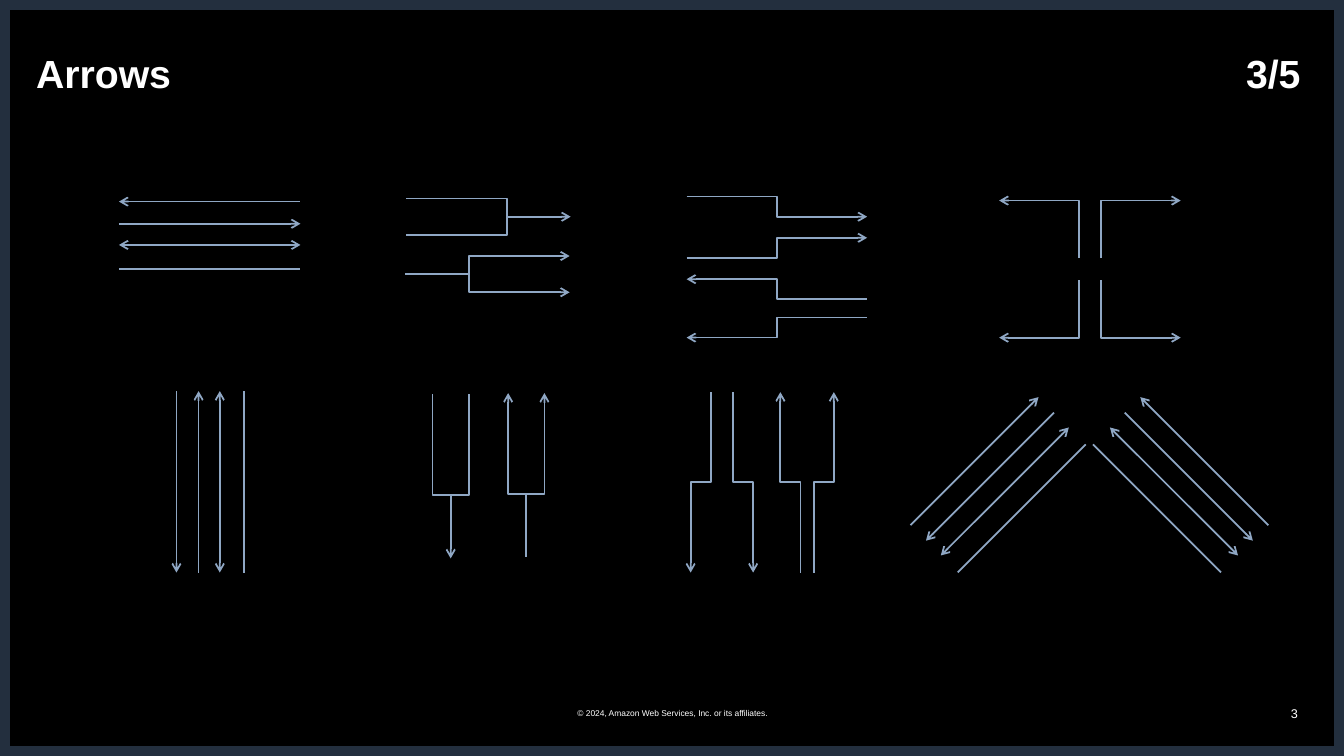
from pptx import Presentation
from pptx import util as u
from pptx.dml.color import RGBColor
from pptx.enum import shapes, text
from pptx.oxml import ns, xmlchemy

COLS, ROWS = 13.33, 7.5
BLACK = RGBColor(0x00, 0x00, 0x00)
WHITE = RGBColor(0xFF, 0xFF, 0xFF)
NAVY = RGBColor(0x23, 0x2F, 0x3E)
STEEL = RGBColor(0x8F, 0xA7, 0xC4)
STRAND_ENDS = ("head", "tail", "both", "")
STEP_ENDS = ("tail", "tail", "head", "head")


def cells(*counts):
    """Turn counts of one-inch grid cells into lengths."""
    return [u.Inches(n) for n in counts]


def add_text(s, box, words, size, bold=False, align=text.PP_ALIGN.LEFT, spacing=None, tab=None):
    """Add a one-paragraph text box, optionally with a left tab stop."""
    tf = s.shapes.add_textbox(*cells(*box)).text_frame
    tf.word_wrap = True
    tf.vertical_anchor = text.MSO_ANCHOR.MIDDLE
    p = tf.paragraphs[0]
    p.alignment = align
    if spacing:
        p.line_spacing = spacing
    if tab:
        stops = xmlchemy.OxmlElement("a:tabLst")
        stop = xmlchemy.OxmlElement("a:tab")
        stop.set("pos", str(u.Inches(tab)))
        stop.set("algn", "l")
        stops.append(stop)
        p._p.get_or_add_pPr().append(stops)
    r = p.add_run()
    r.text = words
    r.font.name = "Arial"
    r.font.size = u.Pt(size)
    r.font.bold = bold
    r.font.color.rgb = WHITE


def style_line(sp, ends):
    """Colour a line and put arrowheads on the named ends."""
    sp.line.color.rgb = STEEL
    sp.line.width = u.Pt(1.25)
    for end in ("head", "tail"):
        if ends in (end, "both"):
            arrow = xmlchemy.OxmlElement(f"a:{end}End")
            arrow.set("type", "arrow")
            sp.line._get_or_add_ln().append(arrow)


def add_link(s, start, end, ends="", kind=shapes.MSO_CONNECTOR.STRAIGHT):
    """Add a connector between two grid points."""
    sp = s.shapes.add_connector(kind, *cells(*start, *end))
    style_line(sp, ends)
    sp._element.spPr.append(xmlchemy.OxmlElement("a:effectLst"))
    return sp


def add_outline(s, points, ends=""):
    """Add an open, unfilled outline through grid points."""
    first, *rest = [tuple(cells(*point)) for point in points]
    builder = s.shapes.build_freeform(*first)
    builder.add_line_segments(rest, close=False)
    sp = builder.convert_to_shape()
    sp.fill.background()
    sp.shadow.inherit = False
    style_line(sp, ends)


def strands(s, x, y, across, run):
    """Draw four parallel lines, one for each pairing of arrowheads."""
    for offset, ends in zip((0, 0.22, 0.43, 0.67), STRAND_ENDS):
        x0, y0 = x + offset * across[0], y + offset * across[1]
        add_link(s, (x0, y0), (x0 + run[0], y0 + run[1]), ends)


def fork(s, x, y, run, span, outward=False):
    """Draw two prongs joined to a stem, with arrows on prongs or stem."""
    (rx, ry), (sx, sy) = run, span
    prongs = [(x, y), (x + rx, y + ry), (x + rx + sx, y + ry + sy), (x + sx, y + sy)]
    add_outline(s, prongs, "both" if outward else "")
    jx, jy = x + rx + sx / 2, y + ry + sy / 2
    add_link(s, (jx, jy), (jx + 0.63 * rx, jy + 0.63 * ry), "" if outward else "tail")


def level_steps(s, x, y, length=1.79, rise=0.2):
    """Draw four stepped connectors that run from left to right."""
    for top, drop, ends in zip((0, 0.61, 0.82, 1.4), (rise, -rise, rise, -rise), STEP_ENDS):
        add_link(s, (x, y + top), (x + length, y + top + drop), ends, shapes.MSO_CONNECTOR.ELBOW)


def upright_steps(s, x, y, length=1.79, rise=0.2):
    """Draw four stepped connectors that run from top to bottom."""
    for left, shift, ends in zip((0, 0.22, 0.69, 1.22), (-rise, rise, rise, -rise), STEP_ENDS):
        cx, cy = x + left + shift / 2, y + length / 2
        sp = add_link(s, (cx - length / 2, cy + shift / 2), (cx + length / 2, cy - shift / 2),
                      ends, shapes.MSO_CONNECTOR.ELBOW)
        sp._element.spPr.find(ns.qn("a:xfrm")).set("rot", str(90 * 60000))


def corners(s, x, y, arm=0.79, leg=0.57, gap=0.22):
    """Draw four right-angle arrows that point away from a centre."""
    for side in (-1, 1):
        for level in (-1, 1):
            x0, y0 = x + side * gap / 2, y + level * gap / 2
            bend = y0 + level * leg
            add_outline(s, [(x0, y0), (x0, bend), (x0 + side * arm, bend)], "tail")


def frame(s):
    """Draw the background, border, title and footer."""
    s.background.fill.solid()
    s.background.fill.fore_color.rgb = BLACK
    sp = s.shapes.add_shape(shapes.MSO_SHAPE.RECTANGLE, *cells(0, 0, COLS, ROWS))
    sp.fill.background()
    sp.line.color.rgb = NAVY
    sp.line.width = u.Pt(14)
    sp.shadow.inherit = False
    add_text(s, (4.42, 6.88, 4.5, 0.4), "© 2024, Amazon Web Services, Inc. or its affiliates.", 6,
             align=text.PP_ALIGN.CENTER)
    add_text(s, (9.97, 6.88, 3, 0.4), "3", 9, align=text.PP_ALIGN.RIGHT)
    add_text(s, (0.26, 0.4, 12.81, 0.7), "Arrows\t3/5", 28, bold=True, spacing=0.9, tab=12)


def main():
    """Build the arrow slide and save it."""
    prs = Presentation()
    prs.slide_width, prs.slide_height = cells(COLS, ROWS)
    s = prs.slides.add_slide(prs.slide_layouts[6])
    frame(s)
    strands(s, 1.18, 2, (0, 1), (1.8, 0))
    fork(s, 4.03, 1.97, (1, 0), (0, 0.36))
    fork(s, 5.65, 2.9, (-1, 0), (0, -0.36), outward=True)
    level_steps(s, 6.81, 1.95)
    corners(s, 10.81, 2.67)
    strands(s, 1.75, 5.68, (1, 0), (0, -1.8))
    fork(s, 4.65, 3.91, (0, 1), (-0.36, 0))
    fork(s, 5.4, 3.9, (0, 1), (-0.36, 0), outward=True)
    upright_steps(s, 7.05, 3.89)
    strands(s, 10.3, 3.94, (0.7, 0.7), (-1.27, 1.27))
    strands(s, 11.31, 3.94, (-0.7, 0.7), (1.27, 1.27))
    prs.save("out.pptx")


if __name__ == "__main__":
    main()
